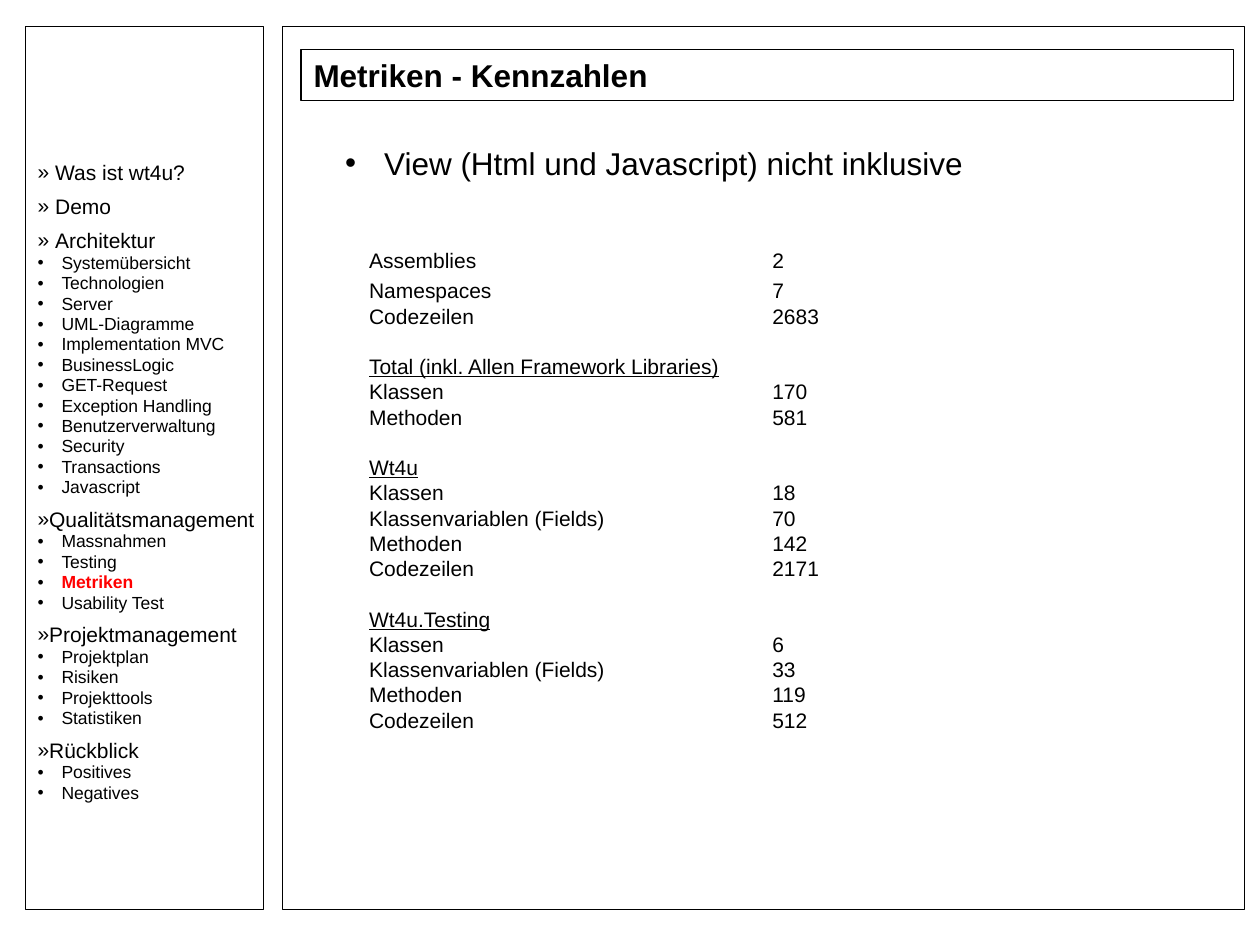
"""Build the slide "Metriken - Kennzahlen" with its navigation column."""
from lxml import etree
from pptx import Presentation
from pptx.dml.color import RGBColor
from pptx.enum.shapes import MSO_SHAPE
from pptx.enum.text import MSO_ANCHOR
from pptx.oxml.ns import qn
from pptx.util import Inches, Pt

RECTANGLE = MSO_SHAPE.RECTANGLE
TOP, MIDDLE = MSO_ANCHOR.TOP, MSO_ANCHOR.MIDDLE
FONT = "Arial"
COLORS = {"text": "000000", "panel": "FFFFFF", "current": "FF0000"}

TITLE = "Metriken - Kennzahlen"
STATEMENT = "View (Html und Javascript) nicht inklusive"
CURRENT_TOPIC = "Metriken"
SPACED_INDENT = 0.14

NAVIGATION = [
    ("Was ist wt4u?", SPACED_INDENT, []),
    ("Demo", SPACED_INDENT, []),
    ("Architektur", SPACED_INDENT, [
        "Systemübersicht", "Technologien", "Server", "UML-Diagramme",
        "Implementation MVC", "BusinessLogic", "GET-Request",
        "Exception Handling", "Benutzerverwaltung", "Security",
        "Transactions", "Javascript"]),
    ("Qualitätsmanagement", 0, ["Massnahmen", "Testing", "Metriken", "Usability Test"]),
    ("Projektmanagement", 0, ["Projektplan", "Risiken", "Projekttools", "Statistiken"]),
    ("Rückblick", 0, ["Positives", "Negatives"]),
]

METRICS = [
    ("", [("Assemblies", "2"), ("Namespaces", "7"), ("Codezeilen", "2683")]),
    ("Total (inkl. Allen Framework Libraries)", [("Klassen", "170"), ("Methoden", "581")]),
    ("Wt4u", [("Klassen", "18"), ("Klassenvariablen (Fields)", "70"),
              ("Methoden", "142"), ("Codezeilen", "2171")]),
    ("Wt4u.Testing", [("Klassen", "6"), ("Klassenvariablen (Fields)", "33"),
                      ("Methoden", "119"), ("Codezeilen", "512")]),
]


def color(name):
    return RGBColor.from_string(COLORS[name])


def style(para, size, bold=False, tint="text", underline=False):
    for span in para.runs:
        span.font.name = FONT
        span.font.size = Pt(size)
        span.font.bold = bold
        span.font.underline = underline
        span.font.color.rgb = color(tint)


def add_bullet(para, symbol, indent):
    props = para._p.get_or_add_pPr()
    props.set("marL", str(Inches(indent)))
    props.set("indent", str(-Inches(indent)))
    tint = etree.SubElement(props, qn("a:buClr"))
    etree.SubElement(tint, qn("a:srgbClr")).set("val", COLORS["text"])
    etree.SubElement(props, qn("a:buFont")).set("typeface", FONT)
    etree.SubElement(props, qn("a:buChar")).set("char", symbol)


def add_panel(page, left, top, width, height):
    panel = page.shapes.add_shape(
        RECTANGLE, Inches(left), Inches(top), Inches(width), Inches(height))
    panel.shadow.inherit = False
    panel.fill.solid()
    panel.fill.fore_color.rgb = color("panel")
    panel.line.color.rgb = color("text")
    panel.line.width = Pt(0.75)
    return panel


def add_text_frame(page, left, top, width, height):
    box = page.shapes.add_textbox(
        Inches(left), Inches(top), Inches(width), Inches(height))
    box.text_frame.word_wrap = True
    return box.text_frame


def add_title(page):
    panel = add_panel(page, 2.39, 0.39, 7.4, 0.41)
    frame = panel.text_frame
    frame.text = TITLE
    frame.vertical_anchor = MIDDLE
    para = frame.paragraphs[0]
    para.alignment = 1
    style(para, 18, bold=True)


def add_statement(page):
    frame = add_text_frame(page, 2.64, 1.09, 5.51, 0.4)
    frame.text = STATEMENT
    para = frame.paragraphs[0]
    add_bullet(para, "•", 0.31)
    style(para, 18)


def add_metrics(page):
    rows = []
    for heading, values in METRICS:
        if heading:
            rows += [("", ""), (heading, "")]
        rows += values
    heights = [0.24] + [0.2] * (len(rows) - 1)
    headings = {heading for heading, _ in METRICS}
    table = page.shapes.add_table(
        len(rows), 2, Inches(2.86), Inches(1.98), Inches(6.4), Inches(sum(heights))).table
    table.first_row = table.horz_banding = False
    for row, height, texts in zip(table.rows, heights, rows):
        row.height = Inches(height)
        for cell, text in zip(row.cells, texts):
            cell.fill.background()
            cell.margin_left = cell.margin_right = Inches(0.07)
            cell.margin_top = cell.margin_bottom = 0
            cell.vertical_anchor = TOP
            para = cell.text_frame.paragraphs[0]
            if text:
                para.text = text
                style(para, 12, underline=text in headings)
            else:
                etree.SubElement(para._p, qn("a:endParaRPr")).set("sz", "1200")


def add_navigation(page):
    frame = add_text_frame(page, 0.2, 1.22, 1.97, 5.09)
    for number, (section, indent, topics) in enumerate(NAVIGATION):
        para = frame.add_paragraph() if number else frame.paragraphs[0]
        para.text = section
        add_bullet(para, "»", indent)
        if number:
            para.space_before = Pt(5)
        style(para, 12)
        for topic in topics:
            para = frame.add_paragraph()
            para.text = topic
            add_bullet(para, "•", 0.19)
            para.line_spacing = 0.97
            current = topic == CURRENT_TOPIC
            style(para, 10, bold=current, tint="current" if current else "text")


def main():
    deck = Presentation()
    deck.slide_width, deck.slide_height = Inches(10), Inches(7.5)
    page = deck.slides.add_slide(deck.slide_layouts[6])
    for left, width in ((0.2, 1.89), (2.24, 7.64)):
        add_panel(page, left, 0.21, width, 7.01)
    add_title(page)
    add_statement(page)
    add_metrics(page)
    add_navigation(page)
    deck.save("out.pptx")


if __name__ == "__main__":
    main()
